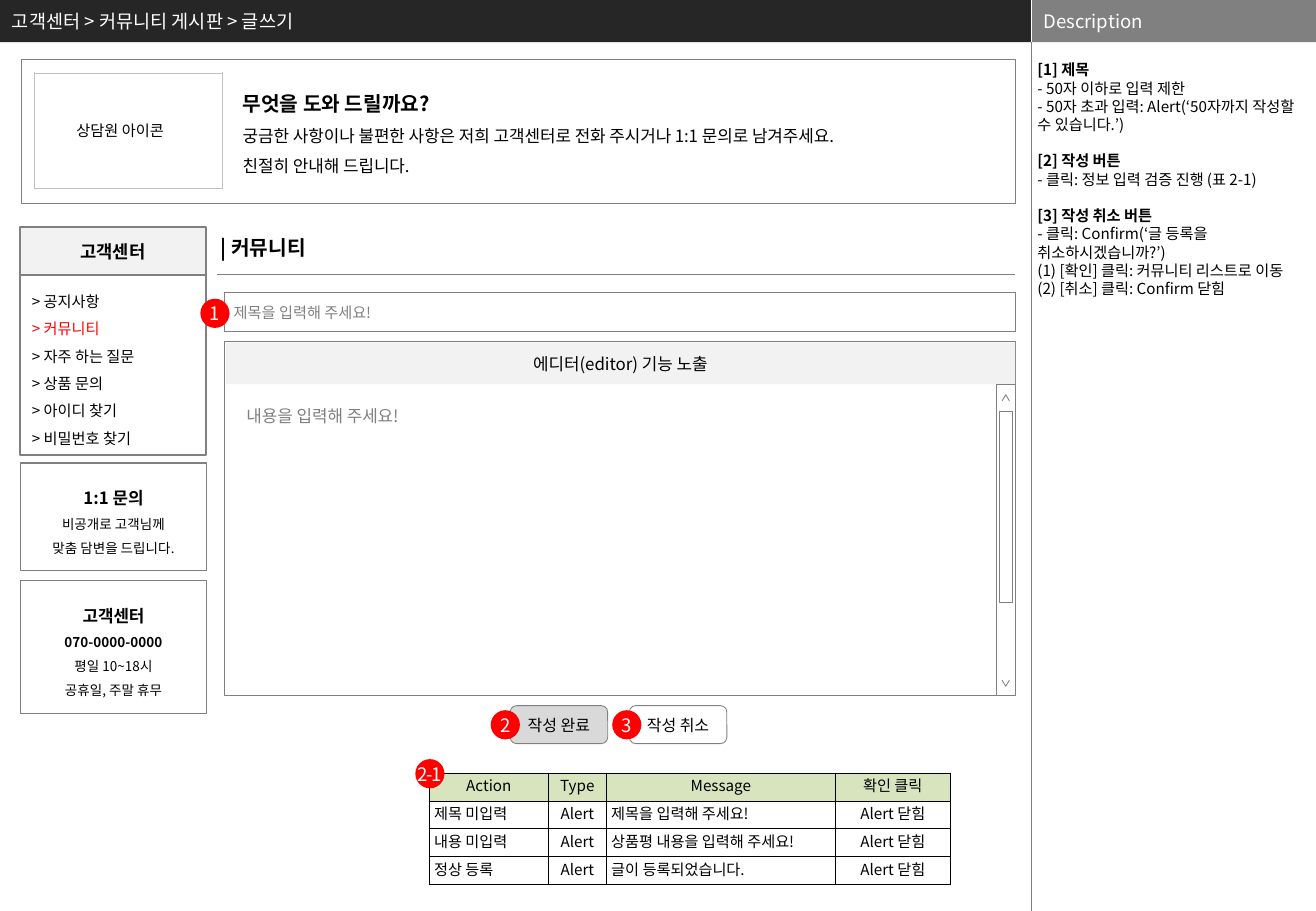
from dataclasses import dataclass, replace

from lxml import etree
from pptx import Presentation
from pptx.dml.color import RGBColor
from pptx.enum.shapes import MSO_CONNECTOR, MSO_SHAPE
from pptx.enum.text import MSO_ANCHOR, PP_ALIGN
from pptx.oxml.ns import qn
from pptx.shapes.autoshape import Shape
from pptx.slide import Slide
from pptx.table import _Cell
from pptx.text.text import TextFrame
from pptx.util import Pt

RECT, ROUND, OVAL = MSO_SHAPE.RECTANGLE, MSO_SHAPE.ROUNDED_RECTANGLE, MSO_SHAPE.OVAL
LEFT, CENTER = PP_ALIGN.LEFT, PP_ALIGN.CENTER
TOP, MIDDLE = MSO_ANCHOR.TOP, MSO_ANCHOR.MIDDLE
STRAIGHT = MSO_CONNECTOR.STRAIGHT


@dataclass(frozen=True)
class Theme:
    font: str = "Noto Sans CJK KR"
    black: str = "000000"
    white: str = "FFFFFF"
    dark: str = "262626"
    gray: str = "808080"
    pale: str = "F2F2F2"
    press: str = "D9D9D9"
    faint: str = "BFBFBF"
    red: str = "FF0000"
    green: str = "D7E4BD"
    tiny: float = 8
    small: float = 9
    label: float = 9.5
    body: float = 10
    menu: float = 10.5
    bar: float = 11
    head: float = 12
    lead: float = 1.2


T = Theme()


@dataclass(frozen=True)
class Para:
    text: str
    size: float = T.small
    color: str = T.black
    bold: bool = False
    align: PP_ALIGN = LEFT
    lines: float = 1
    gap: float = 0
    track: int = 0


@dataclass(frozen=True)
class Box:
    x: float
    y: float
    w: float
    h: float
    paras: tuple[Para, ...] = ()
    fill: str = ""
    line: str = ""
    width: float = 0.5
    kind: MSO_SHAPE = RECT
    pad: tuple[float, float] = (7.2, 3.6)
    anchor: MSO_ANCHOR = MIDDLE
    wrap: bool = True


@dataclass(frozen=True)
class Rule:
    x1: float
    y1: float
    x2: float
    y2: float
    color: str = T.gray
    width: float = 0.25


def tint(code: str) -> RGBColor:
    return RGBColor.from_string(code)


def write(frame: TextFrame, paras: tuple[Para, ...]) -> None:
    for i, para in enumerate(paras):
        p = frame.add_paragraph() if i else frame.paragraphs[0]
        p.text = para.text
        p.alignment = para.align
        p.line_spacing = Pt(para.size * T.lead * para.lines)
        if para.gap:
            p.space_before = Pt(para.gap)
        p.font.size = Pt(para.size)
        p.font.bold = para.bold
        p.font.color.rgb = tint(para.color)
        p.font.name = T.font
        props = p._p.pPr.find(qn("a:defRPr"))
        etree.SubElement(props, qn("a:ea"), typeface=T.font)
        if para.track:
            props.set("spc", str(para.track))


def style(shape: Shape, fill: str, line: str, width: float) -> None:
    shape.shadow.inherit = False
    if fill:
        shape.fill.solid()
        shape.fill.fore_color.rgb = tint(fill)
    else:
        shape.fill.background()
    if line:
        shape.line.color.rgb = tint(line)
        shape.line.width = Pt(width)
    else:
        shape.line.fill.background()


def draw_box(slide: Slide, box: Box) -> None:
    place = Pt(box.x), Pt(box.y), Pt(box.w), Pt(box.h)
    if box.fill or box.line:
        shape = slide.shapes.add_shape(box.kind, *place)
        style(shape, box.fill, box.line, box.width)
    else:
        shape = slide.shapes.add_textbox(*place)
    frame = shape.text_frame
    frame.word_wrap = box.wrap
    frame.vertical_anchor = box.anchor
    frame.margin_left = frame.margin_right = Pt(box.pad[0])
    frame.margin_top = frame.margin_bottom = Pt(box.pad[1])
    write(frame, box.paras)


def draw_rule(slide: Slide, rule: Rule) -> None:
    line = slide.shapes.add_connector(
        STRAIGHT, Pt(rule.x1), Pt(rule.y1), Pt(rule.x2), Pt(rule.y2))
    line.line.color.rgb = tint(rule.color)
    line.line.width = Pt(rule.width)
    etree.SubElement(line._element.spPr, qn("a:effectLst"))


def draw_arrow(slide: Slide, base: float, tip: float) -> None:
    pen = slide.shapes.build_freeform(Pt(594), Pt(base))
    pen.add_line_segments([(Pt(596.15), Pt(tip)), (Pt(598.3), Pt(base))], close=False)
    style(pen.convert_to_shape(), T.white, T.gray, 0.5)


def edge(cell: _Cell, color: str) -> None:
    props = cell._tc.get_or_add_tcPr()
    for i, side in enumerate(("lnL", "lnR", "lnT", "lnB")):
        line = etree.Element(qn(f"a:{side}"), w=str(Pt(0.5)))
        solid = etree.SubElement(line, qn("a:solidFill"))
        etree.SubElement(solid, qn("a:srgbClr"), val=color)
        props.insert(i, line)


def draw_grid(slide: Slide, x: float, y: float, cols: tuple[float, ...], high: float,
              rows: tuple[tuple[str, ...], ...], color: str) -> None:
    table = slide.shapes.add_table(
        len(rows), len(cols), Pt(x), Pt(y), Pt(sum(cols)), Pt(high * len(rows))).table
    table.first_row = table.horz_banding = False
    for col, wide in zip(table.columns, cols):
        col.width = Pt(wide)
    for i, texts in enumerate(rows):
        table.rows[i].height = Pt(high)
        for j, text in enumerate(texts):
            cell = table.cell(i, j)
            cell.fill.background()
            edge(cell, color)
            if not text:
                continue
            if i == 0:
                cell.fill.solid()
                cell.fill.fore_color.rgb = tint(T.green)
            cell.vertical_anchor = MIDDLE
            cell.margin_left = cell.margin_right = Pt(2.88)
            cell.margin_top = cell.margin_bottom = 0
            align = CENTER if i == 0 or j % 2 else LEFT
            write(cell.text_frame, (Para(text, align=align),))


SPLIT, BAR = 611.3, 25
NOTES = (
    ("[1] 제목", "- 50자 이하로 입력 제한", "- 50자 초과 입력: Alert(‘50자까지 작성할 수 있습니다.’)"),
    ("[2] 작성 버튼", "- 클릭: 정보 입력 검증 진행 (표 2-1)"),
    ("[3] 작성 취소 버튼", "- 클릭: Confirm(‘글 등록을 취소하시겠습니까?’)",
     "(1) [확인] 클릭: 커뮤니티 리스트로 이동", "(2) [취소] 클릭: Confirm 닫힘"),
)
NOTE = tuple(
    Para(text, bold=j == 0, gap=T.small * T.lead if i and j == 0 else 0)
    for i, group in enumerate(NOTES) for j, text in enumerate(group))
MENU = tuple(
    Para(f"> {name}", color=T.red if name == "커뮤니티" else T.black, lines=1.5)
    for name in ("공지사항", "커뮤니티", "자주 하는 질문", "상품 문의", "아이디 찾기", "비밀번호 찾기"))
HERO = (
    Para("무엇을 도와 드릴까요?", T.head, bold=True, lines=1.5),
    Para("궁금한 사항이나 불편한 사항은 저희 고객센터로 전화 주시거나 1:1 문의로 남겨주세요.", T.body, lines=1.5),
    Para("친절히 안내해 드립니다.", T.body, lines=1.5),
)
CARD = Para("1:1 문의", T.body, bold=True, align=CENTER, lines=1.5)
FINE = replace(CARD, size=T.tiny, bold=False)
ASK = (CARD, replace(FINE, text="비공개로 고객님께"), replace(FINE, text="맞춤 담변을 드립니다."))
CALL = (replace(CARD, text="고객센터"), replace(FINE, text="070-0000-0000", bold=True),
        replace(FINE, text="평일 10~18시"), replace(FINE, text="공휴일, 주말 휴무"))
BOXES = (
    Box(0, 0, SPLIT, BAR, (Para("고객센터 > 커뮤니티 게시판 > 글쓰기", T.bar, T.white),), T.dark),
    Box(SPLIT, 0, 780 - SPLIT, BAR, (Para("Description", T.bar, T.white),), T.gray),
    Box(612, 25.2, 168, 514.8, (replace(NOTE[0], gap=0),) + NOTE[1:],
        pad=(2.88, T.small * T.lead), anchor=TOP),
    Box(302.4, 418.3, 57.8, 22.5, (Para("작성 완료", T.label, align=CENTER),), T.press, T.gray,
        kind=ROUND, pad=(3.6, 3.6)),
    Box(373, 418.3, 57.8, 22.5, (Para("작성 취소", T.label, align=CENTER),), "", T.gray,
        kind=ROUND, pad=(3.6, 3.6)),
    Box(133.2, 173.6, 468.7, 23, (Para("제목을 입력해 주세요!", color=T.gray),), "", T.gray,
        pad=(5.3, 2.88)),
    Box(133.2, 202.1, 468.7, 210.2, line=T.gray),
    Box(133.7, 203.2, 468, 24.5, (Para("에디터(editor) 기능 노출", T.body, align=CENTER),), T.pale),
    Box(139, 236.9, 115.2, 19.4, (Para("내용을 입력해 주세요!", T.body, T.gray),), anchor=TOP),
    Box(11.8, 162.9, 110.4, 107, MENU, "", T.gray, 1),
    Box(11.8, 134.7, 110.4, 28.2, (Para("고객센터", T.menu, bold=True, align=CENTER),),
        T.pale, T.gray, 1),
    Box(12.2, 274.4, 110.2, 63.7, ASK, "", T.gray, 0.75, pad=(2.88, 2.88)),
    Box(12.2, 344, 110.2, 78.8, CALL, "", T.gray, 0.75, pad=(2.88, 2.88)),
    Box(136.8, 43.2, 424, 65.5, HERO, anchor=TOP),
    Box(12.8, 35.2, 589, 85.3, line=T.gray, width=0.75),
    Box(38.2, 68.4, 75.6, 18, (Para("상담원 아이콘"),), T.white, anchor=TOP),
    Box(123.8, 136.1, 113, 21.6, (Para("| 커뮤니티", T.head, bold=True),), anchor=TOP),
    Box(590.4, 228, 11.5, 184.3, fill=T.white, line=T.gray),
    Box(592.2, 244.1, 7.8, 113, fill=T.white, line=T.gray),
)
RULES = (
    Rule(SPLIT, 0, SPLIT, BAR, T.white),
    Rule(SPLIT, BAR, SPLIT, 540),
    Rule(128.9, 162.6, 601.9, 162.6, width=0.75),
)
BADGES = (("1", 118.8, 177.1), ("2", 290.9, 421), ("3", 362.9, 421), ("2-1", 246.2, 450))
ALERTS = (
    ("Action", "Type", "Message", "확인 클릭"),
    ("제목 미입력", "Alert", "제목을 입력해 주세요!", "Alert 닫힘"),
    ("내용 미입력", "Alert", "상품평 내용을 입력해 주세요!", "Alert 닫힘"),
    ("정상 등록", "Alert", "글이 등록되었습니다.", "Alert 닫힘"),
)


def main() -> None:
    deck = Presentation()
    deck.slide_width, deck.slide_height = Pt(780), Pt(540)
    slide = deck.slides.add_slide(deck.slide_layouts[6])
    draw_grid(slide, 20.2, 43.2, (111.6,), 68.4, (("",),), T.faint)
    for box in BOXES:
        draw_box(slide, box)
    for rule in RULES:
        draw_rule(slide, rule)
    for base, tip in ((237.6, 234), (403.2, 406.8)):
        draw_arrow(slide, base, tip)
    draw_grid(slide, 254.4, 458.2, (70.6, 34.4, 135.8, 68), 16.56, ALERTS, T.black)
    for text, x, y in BADGES:
        mark = Para(text, T.bar, T.white, align=CENTER, track=-75 if "-" in text else 0)
        draw_box(slide, Box(x, y, 17.3, 17.3, (mark,), T.red, kind=OVAL, pad=(0, 0), wrap=False))
    deck.save("out.pptx")


if __name__ == "__main__":
    main()
